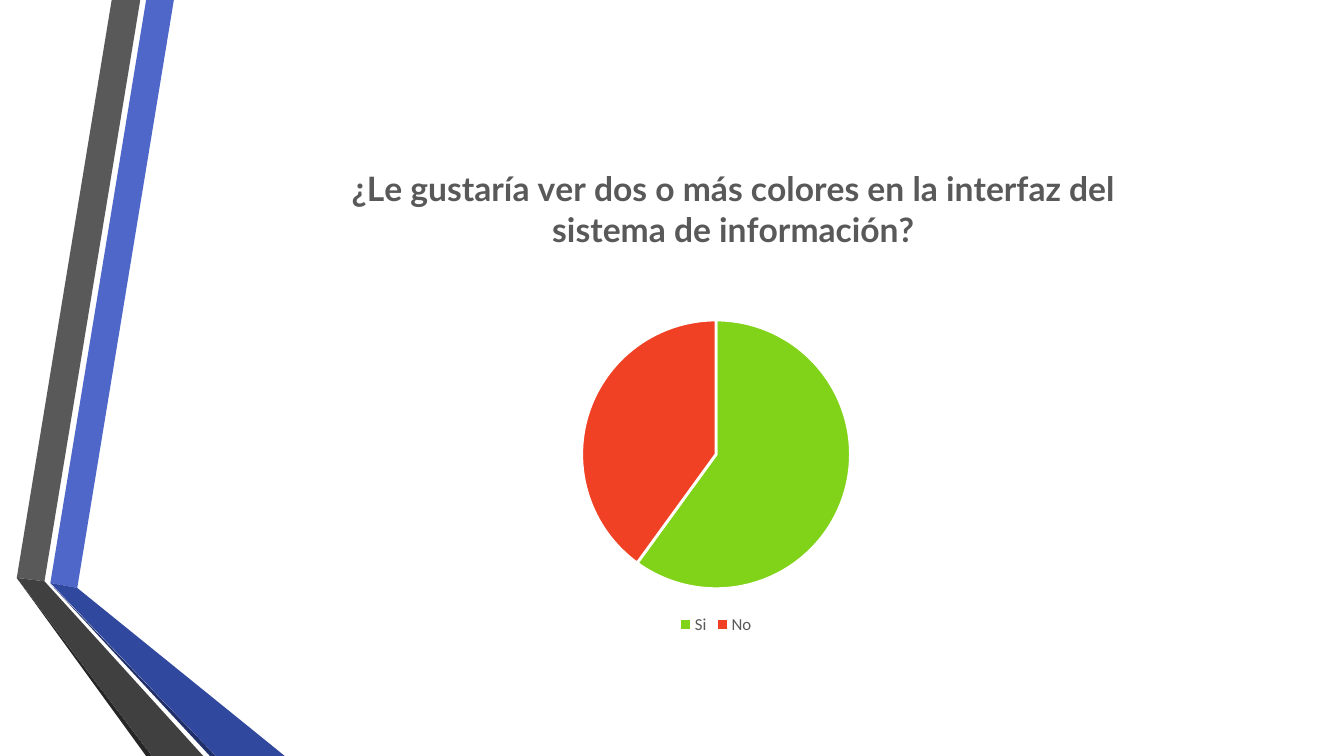
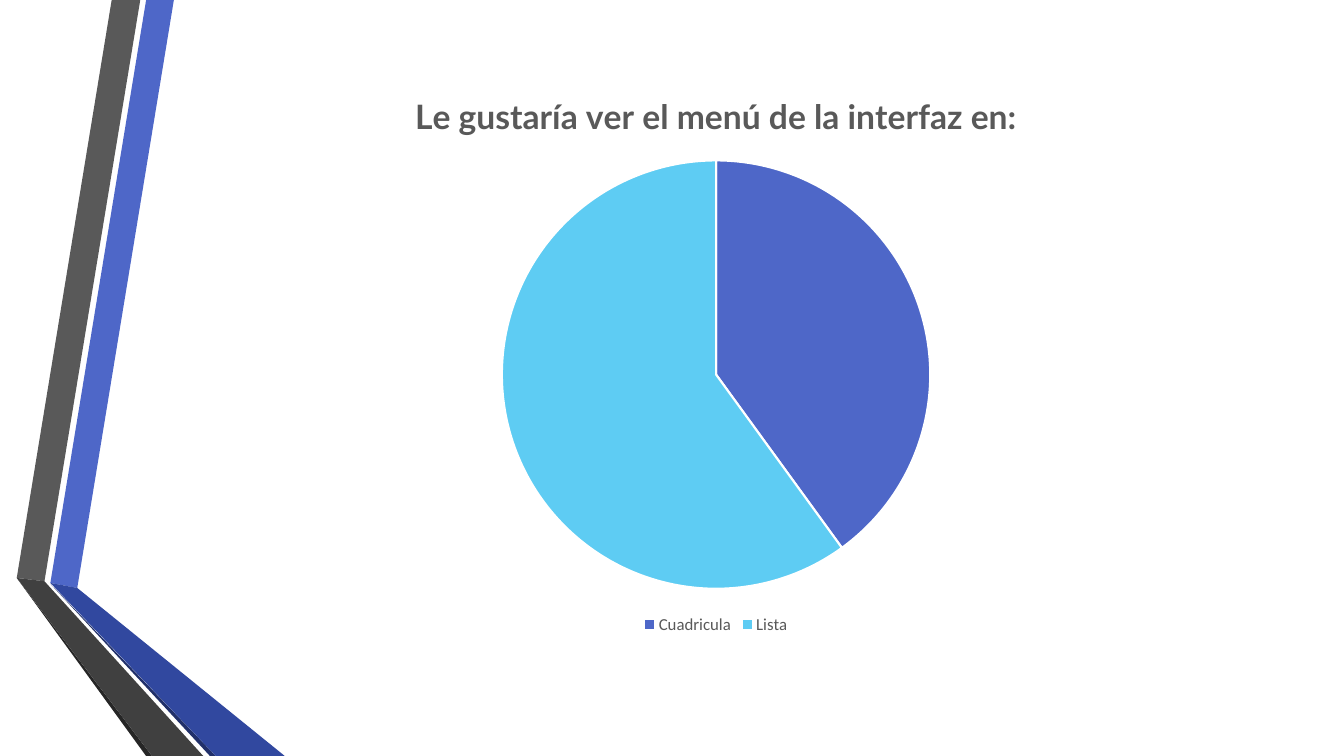
from dataclasses import dataclass

from lxml import etree
from pptx import Presentation
from pptx import util as u
from pptx.chart.data import CategoryChartData
from pptx.dml.color import RGBColor
from pptx.enum import chart as ch
from pptx.oxml.ns import qn


@dataclass(frozen=True)
class Theme:
    blue: str = "4E67C8"
    deep_blue: str = "31489F"
    navy: str = "21306A"
    sky: str = "5ECCF3"
    green: str = "81D31A"
    red: str = "F14124"
    gray: str = "595959"
    dark_gray: str = "404040"
    charcoal: str = "262626"
    white: str = "FFFFFF"
    title_font: str = "Lato"
    body_font: str = "Calibri"
    title_size: int = 24
    legend_size: int = 12


THEME = Theme()
COLS, ROWS = 16, 9
CHART_LEFT, CHART_WIDTH, CHART_BOTTOM = 1.95, 13.15, 7.6
PIE_BOTTOM = 7.01

# Ribbon outlines in grid units, back to front.
RIBBONS = [
    (THEME.blue, [(0.6, 6.94), (0.92, 7), (2.07, 0), (1.74, 0)]),
    (THEME.gray, [(1.67, 0), (1.33, 0), (0.2, 6.88), (0.53, 6.92)]),
    (THEME.charcoal, [(0.2, 6.88), (1.74, 9), (1.81, 9)]),
    (THEME.navy, [(0.6, 6.95), (2.5, 9), (2.57, 9)]),
    (THEME.deep_blue, [(0.6, 6.94), (2.57, 9), (3.39, 9), (0.92, 7)]),
    (THEME.dark_gray, [(2.42, 9), (0.53, 6.92), (0.2, 6.88), (1.81, 9)]),
]


def rgb(color):
    return RGBColor.from_string(color)


def set_layout(parent, index, **values):
    """Place a chart part by hand, in shares of the chart's size."""
    for old in parent.findall(qn("c:layout")):
        parent.remove(old)
    layout = etree.Element(qn("c:layout"))
    manual = etree.SubElement(layout, qn("c:manualLayout"))
    for tag, value in values.items():
        etree.SubElement(manual, qn(f"c:{tag}")).set("val", str(value))
    parent.insert(index, layout)


class Deck:
    def __init__(self, theme):
        self.theme = theme
        self.prs = Presentation()
        self.prs.slide_width = u.Inches(40 / 3)
        self.prs.slide_height = u.Inches(7.5)
        self.slide = None

    def x(self, cols):
        return round(self.prs.slide_width * cols / COLS)

    def y(self, rows):
        return round(self.prs.slide_height * rows / ROWS)

    def add_slide(self):
        self.slide = self.prs.slides.add_slide(self.prs.slide_layouts[6])
        for color, points in RIBBONS:
            self.polygon(color, points)

    def polygon(self, color, points):
        start, *rest = [(self.x(col), self.y(row)) for col, row in points]
        builder = self.slide.shapes.build_freeform(*start)
        builder.add_line_segments(rest, close=True)
        sp = builder.convert_to_shape()
        sp.shadow.inherit = False
        sp.fill.solid()
        sp.fill.fore_color.rgb = rgb(color)
        sp.line.fill.background()

    def pie(self, title, title_at, slices, top, diameter, border):
        """Slices are (label, value, colour); title_at is the offset in the chart."""
        data = CategoryChartData()
        data.categories = [label for label, _, _ in slices]
        data.add_series("Series 1", [value for _, value, _ in slices])
        height = CHART_BOTTOM - top
        chart = self.slide.shapes.add_chart(
            ch.XL_CHART_TYPE.PIE, self.x(CHART_LEFT), self.y(top),
            self.x(CHART_WIDTH), self.y(height), data).chart
        chart.font.name = self.theme.body_font
        plot = chart.plots[0]
        plot.vary_by_categories = True
        for i, (_, _, color) in enumerate(slices):
            fmt = plot.series[0].points[i].format
            fmt.fill.solid()
            fmt.fill.fore_color.rgb = rgb(color)
            fmt.line.color.rgb = rgb(self.theme.white)
            fmt.line.width = u.Pt(border)
        w, h = diameter / CHART_WIDTH, diameter / height
        set_layout(chart._chartSpace.chart.plotArea, 0, layoutTarget="inner",
                   xMode="edge", yMode="edge", x=(1 - w) / 2,
                   y=(PIE_BOTTOM - diameter - top) / height, w=w, h=h)
        self.chart_title(chart, title, title_at[0] / CHART_WIDTH,
                         title_at[1] / height)
        self.legend(chart)

    def style(self, font, name, size, bold):
        font.name, font.size, font.bold = name, u.Pt(size), bold
        font.color.rgb = rgb(self.theme.gray)

    def chart_title(self, chart, title, x, y):
        chart.has_title = True
        tf = chart.chart_title.text_frame
        tf.text = title
        for p in tf.paragraphs:
            for r in p.runs:
                self.style(r.font, self.theme.title_font,
                           self.theme.title_size, True)
        set_layout(chart.chart_title._element, 1, xMode="edge", yMode="edge",
                   x=x, y=y)

    def legend(self, chart):
        chart.has_legend = True
        chart.legend.position = ch.XL_LEGEND_POSITION.BOTTOM
        chart.legend.include_in_layout = False
        self.style(chart.legend.font, self.theme.body_font,
                   self.theme.legend_size, False)


def main():
    deck = Deck(THEME)

    deck.add_slide()
    deck.pie("¿Le gustaría ver dos o más colores en la interfaz del\n"
             "sistema de información?", (2.2, 0.13),
             [("Si", 60, THEME.green), ("No", 40, THEME.red)],
             top=1.81, diameter=3.2, border=2)

    deck.add_slide()
    deck.pie("Le gustaría ver el menú de la interfaz en:", (2.92, 0.2),
             [("Cuadricula", 40, THEME.blue), ("Lista", 60, THEME.sky)],
             top=0.82, diameter=5.1, border=1.5)

    deck.prs.save("out.pptx")


if __name__ == "__main__":
    main()
